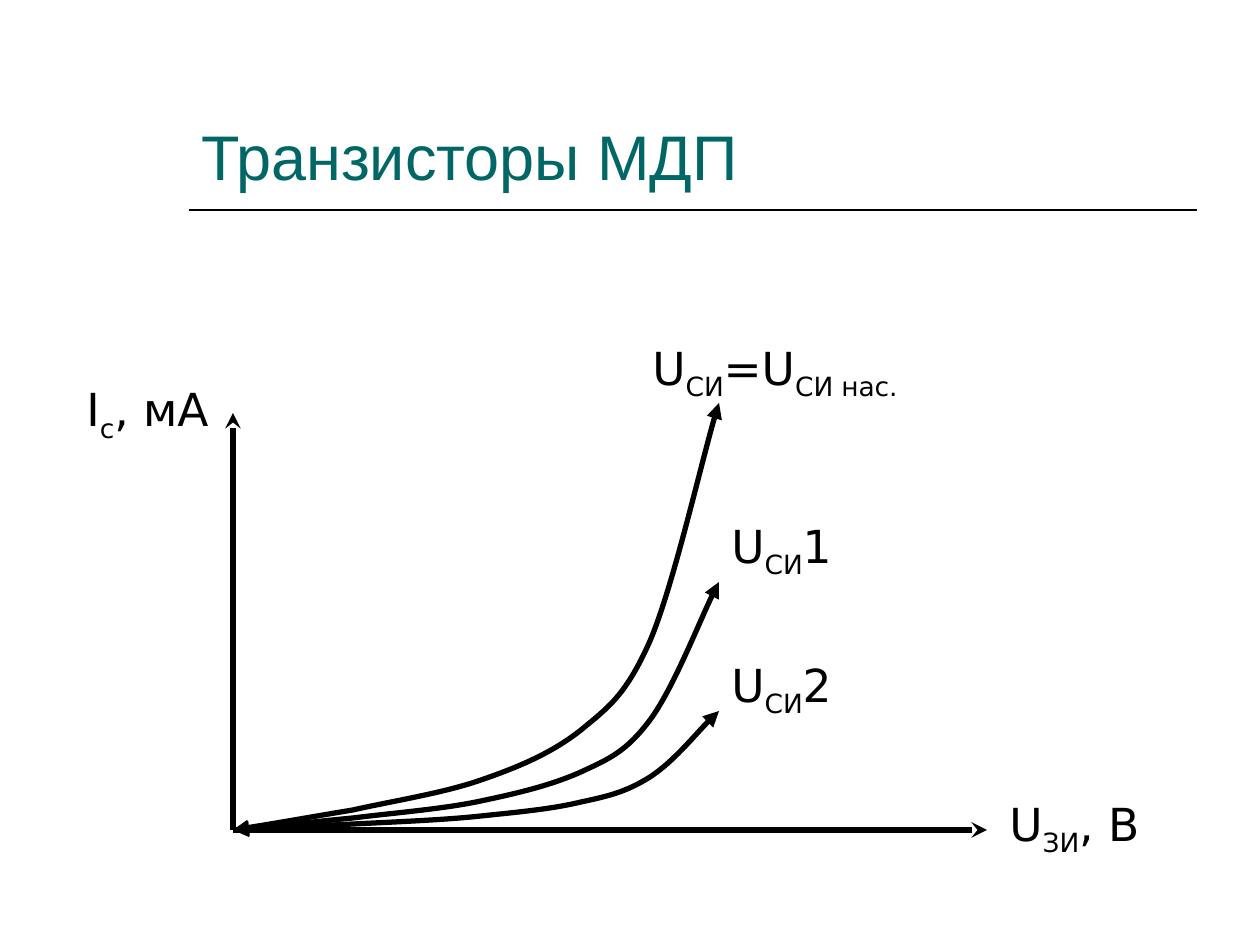
from dataclasses import dataclass

from lxml.etree import SubElement
from pptx import Presentation
from pptx.dml.color import RGBColor
from pptx.enum.shapes import MSO_CONNECTOR
from pptx.enum.text import MSO_ANCHOR
from pptx.oxml.ns import qn
from pptx.util import Emu, Pt

EMU_PER_PX = 914400 / 126
COLORS = {"title": "006666", "ink": "000000"}
ORIGIN_X, ORIGIN_Y = 233, 830
CURVE_X = [272, 311, 353, 393, 444, 481, 519, 552, 581, 609, 626, 650, 673, 706, 719]
CURVE_RISE = [6, 13, 20, 29, 37, 50, 63, 77, 100, 123, 135, 189, 243, 388, 427]


@dataclass
class Label:
    left: int
    top: int
    width: int
    height: int
    pieces: list[str]
    size: int = 26
    font: str = "DejaVu Sans"
    color: str = "ink"
    anchor: MSO_ANCHOR = MSO_ANCHOR.TOP


@dataclass
class Line:
    start: tuple[int, int]
    end: tuple[int, int]
    width: int = 3
    head: str = "stealth"


TITLE = Label(189, 42, 1008, 157, ["Транзисторы МДП"], 36, "Arial", "title", MSO_ANCHOR.BOTTOM)
LABELS = [
    Label(997, 790, 169, 76, ["U", "ЗИ", ", В"]),
    Label(74, 375, 169, 76, ["I", "c", ", мА"]),
    Label(640, 334, 318, 76, ["U", "СИ", "=U", "СИ нас."]),
    Label(719, 512, 248, 76, ["U", "СИ", "1"]),
    Label(719, 651, 248, 76, ["U", "СИ", "2"]),
]
LINES = [
    Line((189, 210), (1197, 210), 1, "none"),
    Line((ORIGIN_X, 413), (ORIGIN_X, ORIGIN_Y)),
    Line((987, ORIGIN_Y), (ORIGIN_X, ORIGIN_Y)),
]
CURVE_HEIGHTS = [427, 119, 248]


def px(value: int) -> Emu:
    return Emu(round(value * EMU_PER_PX))


def color(name: str) -> RGBColor:
    return RGBColor.from_string(COLORS[name])


def style_line(shape, width: int, head: str, tail: str = "none") -> None:
    shape.line.color.rgb = color("ink")
    shape.line.width = Pt(width)
    outline = shape.line._get_or_add_ln()
    for tag, kind in (("a:headEnd", head), ("a:tailEnd", tail)):
        SubElement(outline, qn(tag), type=kind)


def draw_line(slide, line: Line) -> None:
    ends = map(px, line.start + line.end)
    connector = slide.shapes.add_connector(MSO_CONNECTOR.STRAIGHT, *ends)
    style_line(connector, line.width, line.head)
    SubElement(connector._element.spPr, qn("a:effectLst"))


def draw_label(slide, label: Label) -> None:
    bounds = map(px, (label.left, label.top, label.width, label.height))
    text_frame = slide.shapes.add_textbox(*bounds).text_frame
    text_frame.word_wrap = True
    text_frame.vertical_anchor = label.anchor
    paragraph = text_frame.paragraphs[0]
    for index, piece in enumerate(label.pieces):
        run = paragraph.add_run()
        run.text = piece
        run.font.name = label.font
        run.font.size = Pt(label.size)
        run.font.color.rgb = color(label.color)
        if index % 2:
            run._r.get_or_add_rPr().set("baseline", "-25000")


def draw_curve(slide, height: int) -> None:
    ratio = height / CURVE_RISE[-1]
    points = [(x, ORIGIN_Y - rise * ratio) for x, rise in zip(CURVE_X, CURVE_RISE)]
    builder = slide.shapes.build_freeform(ORIGIN_X, ORIGIN_Y, scale=EMU_PER_PX)
    builder.add_line_segments(points, close=False)
    shape = builder.convert_to_shape()
    segments = shape._element.xpath(".//a:lnTo")
    for first, second, third in zip(segments[::3], segments[1::3], segments[2::3]):
        first.tag = qn("a:cubicBezTo")
        for segment in (second, third):
            first.append(segment[0])
            segment.getparent().remove(segment)
    shape.fill.background()
    style_line(shape, 3, "triangle", "triangle")
    shape.shadow.inherit = False


def main() -> None:
    presentation = Presentation()
    presentation.slide_width = px(1260)
    presentation.slide_height = px(945)
    slide = presentation.slides.add_slide(presentation.slide_layouts[6])
    for line in LINES:
        draw_line(slide, line)
    for label in [TITLE, *LABELS]:
        draw_label(slide, label)
    for height in CURVE_HEIGHTS:
        draw_curve(slide, height)
    presentation.save("out.pptx")


if __name__ == "__main__":
    main()
